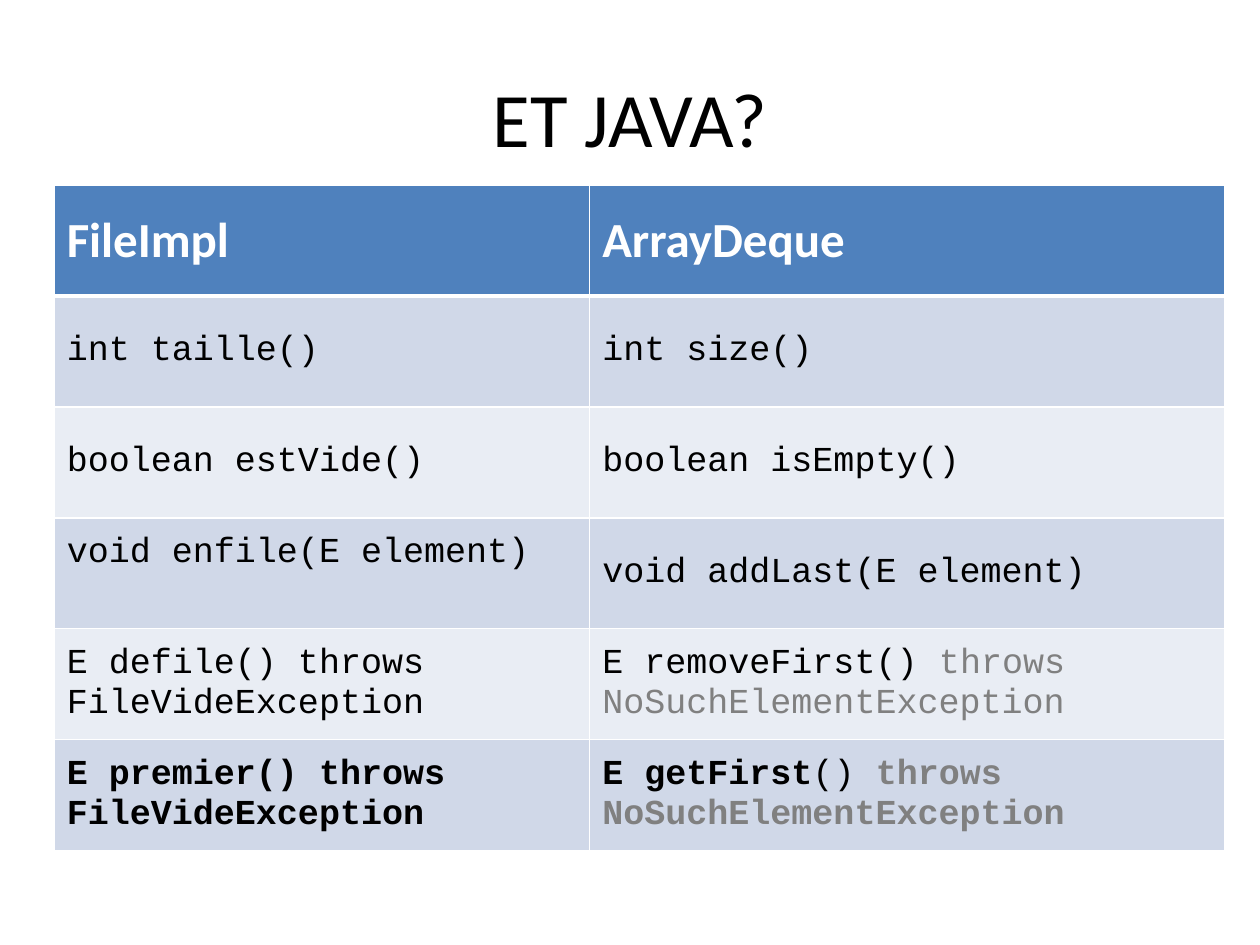
from dataclasses import dataclass

import pptx
import pptx.dml.color
import pptx.enum.text
import pptx.oxml
import pptx.oxml.ns
import pptx.util
from pptx.util import Inches

RGB = pptx.dml.color.RGBColor.from_string
ANCHOR = pptx.enum.text.MSO_ANCHOR


@dataclass(frozen=True)
class Theme:
    heading_font: str = "Calibri"
    code_font: str = "Courier New"
    title_size: int = 44
    header_size: int = 28
    code_size: int = 20
    text: str = "000000"
    muted: str = "808080"
    white: str = "FFFFFF"
    header_fill: str = "4F81BD"
    bands: tuple[str, str] = ("D0D8E8", "E9EDF4")
    rule: int = 1
    header_rule: int = 3


@dataclass(frozen=True)
class Span:
    text: str
    font: str
    size: int
    color: str
    bold: bool = False


@dataclass(frozen=True)
class Cell:
    paragraphs: list[list[Span]]
    raised: bool = False


THEME = Theme()


def code(text: str, bold: bool = False, color: str = THEME.text) -> Span:
    return Span(text, THEME.code_font, THEME.code_size, color, bold)


def heading(text: str) -> Cell:
    return Cell([[Span(text, THEME.heading_font, THEME.header_size, THEME.white, True)]])


def method(text: str, bold: bool = False, raised: bool = False) -> Cell:
    return Cell([[code(text, bold)]], raised)


def throwing(signature: list[Span], bold: bool = False) -> Cell:
    """A signature followed by its muted, unchecked exception."""
    return Cell([
        signature + [code("throws", bold, THEME.muted)],
        [code("NoSuchElementException", bold, THEME.muted)],
    ])


ROWS = [
    (heading("FileImpl"), heading("ArrayDeque")),
    (method("int taille()"), method("int size()")),
    (method("boolean estVide()"), method("boolean isEmpty()")),
    (method("void enfile(E element)", raised=True), method("void addLast(E element)")),
    (method("E defile() throws FileVideException"), throwing([code("E removeFirst() ")])),
    (method("E premier() throws FileVideException", bold=True),
     throwing([code("E getFirst", bold=True), code("() ")], bold=True)),
]
COLUMN_WIDTHS = (4.25, 5.04)
ROW_HEIGHT = 0.88


def add_span(p, span: Span) -> None:
    r = p.add_run()
    r.text = span.text
    r.font.name = span.font
    r.font.size = pptx.util.Pt(span.size)
    r.font.bold = span.bold
    r.font.color.rgb = RGB(span.color)


def set_borders(cell, row: int) -> None:
    """Draw white rules, heavier where the header meets the body."""
    heavy = {(0, "lnB"), (1, "lnT")}
    for edge in ("lnL", "lnR", "lnT", "lnB"):
        points = THEME.header_rule if (row, edge) in heavy else THEME.rule
        cell._tc.get_or_add_tcPr().append(pptx.oxml.parse_xml(
            f'<a:{edge} {pptx.oxml.ns.nsdecls("a")} w="{pptx.util.Pt(points)}">'
            f'<a:solidFill><a:srgbClr val="{THEME.white}"/></a:solidFill></a:{edge}>'))


def fill_cell(cell, content: Cell, row: int) -> None:
    set_borders(cell, row)
    cell.fill.solid()
    cell.fill.fore_color.rgb = RGB(
        THEME.bands[(row - 1) % 2] if row else THEME.header_fill)
    cell.vertical_anchor = ANCHOR.TOP if content.raised else ANCHOR.MIDDLE
    if content.raised:
        cell.margin_top = Inches(0.12)
    tf = cell.text_frame
    for i, spans in enumerate(content.paragraphs):
        p = tf.add_paragraph() if i else tf.paragraphs[0]
        for span in spans:
            add_span(p, span)


def add_title(slide, text: str) -> None:
    s = slide.shapes.title
    s.left, s.top, s.width, s.height = map(Inches, (0.5, 0.3, 9, 1.25))
    tf = s.text_frame
    tf.vertical_anchor = ANCHOR.MIDDLE
    p = tf.paragraphs[0]
    p.alignment = pptx.enum.text.PP_ALIGN.CENTER
    add_span(p, Span(text, THEME.heading_font, THEME.title_size, THEME.text))


def add_comparison(slide) -> None:
    table = slide.shapes.add_table(
        len(ROWS), len(COLUMN_WIDTHS), Inches(0.43), Inches(1.47),
        Inches(sum(COLUMN_WIDTHS)), Inches(ROW_HEIGHT * len(ROWS))).table
    for column, width in zip(table.columns, COLUMN_WIDTHS):
        column.width = Inches(width)
    for i, row in enumerate(ROWS):
        table.rows[i].height = Inches(ROW_HEIGHT)
        for j, content in enumerate(row):
            fill_cell(table.cell(i, j), content, i)


def main() -> None:
    prs = pptx.Presentation()
    prs.slide_width, prs.slide_height = Inches(10), Inches(7.5)
    slide = prs.slides.add_slide(prs.slide_layouts.get_by_name("Title Only"))
    add_title(slide, "ET JAVA?")
    add_comparison(slide)
    prs.save("out.pptx")


if __name__ == "__main__":
    main()
